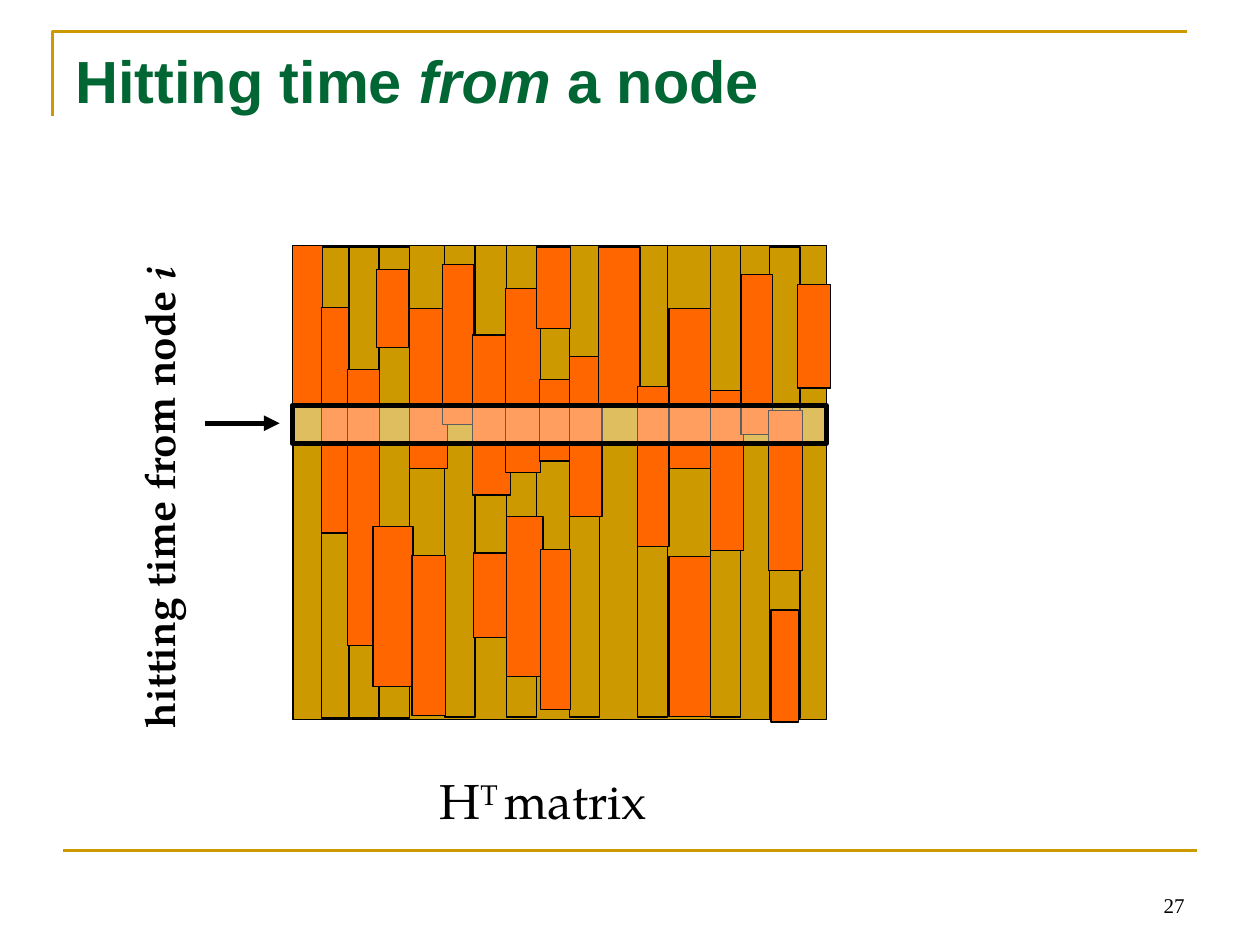
from pptx import Presentation
from pptx.dml.color import RGBColor
from pptx.enum.shapes import MSO_CONNECTOR as CONNECTOR, MSO_SHAPE as SHAPE
from pptx.enum.text import MSO_ANCHOR as ANCHOR, PP_ALIGN as ALIGN
from pptx.oxml.ns import qn
from pptx.util import Pt
from lxml.etree import SubElement

GOLD = RGBColor(0xCC, 0x99, 0x00)
ORANGE = RGBColor(0xFF, 0x66, 0x00)
GREEN = RGBColor(0x00, 0x66, 0x33)
BLACK = RGBColor(0x00, 0x00, 0x00)
WHITE = RGBColor(0xFF, 0xFF, 0xFF)
SERIF = "TeX Gyre Pagella"

MATRIX_LEFT, MATRIX_TOP, MATRIX_WIDTH, MATRIX_HEIGHT = 167, 140.4, 305.3, 270.7
COLUMN_WIDTH, COLUMN_HEIGHT = 17.3, 269.3
COLUMNS = [
    (167.8, 141.8), (183.6, 141.1), (199.4, 141.1), (216.7, 141.1), (254.2, 140.4),
    (289.4, 140.4), (325.4, 140.4), (364.3, 140.4), (406.1, 140.4), (439.9, 141.1),
]
BLOCK_HEIGHT = 91.4
BLOCKS = [
    (167, 140.4, 17.3), (183.6, 175.7, 15.8, 128.9), (198.7, 211, 18, 157.7),
    (215.3, 154.1, 18, 44.6), (213.1, 301, 23), (234, 176.4, 21.6),
    (235.4, 317.5, 19.4), (252.7, 151.2, 18), (270, 191.5, 21.6),
    (270.7, 316.1, 19.4, 48.2), (288.7, 164.9, 20.2, 105.1), (289.4, 295.2, 20.9),
    (306.7, 141.1, 19.4, 46.8), (308.2, 216.7, 18, 46.8), (308.9, 313.9, 17.3),
    (325.4, 203.8, 18.7), (342, 141.1, 23.8), (364.3, 221, 18),
    (382.3, 176.4, 23.8), (382.3, 318.2, 23.8), (406.1, 223.2, 18.7),
    (423.4, 157, 18), (439.2, 234.7, 19.4), (440.6, 348.5, 15.8, 64.1),
    (455.8, 162.7, 18.7, 59),
]


def add_bar(page, left, top, width, height, color, line_width=0.75):
    """Add a filled rectangle with a black outline."""
    bar = page.shapes.add_shape(SHAPE.RECTANGLE, Pt(left), Pt(top), Pt(width), Pt(height))
    bar.shadow.inherit = False
    bar.fill.solid()
    bar.fill.fore_color.rgb = color
    bar.line.color.rgb = BLACK
    bar.line.width = Pt(line_width)
    return bar


def set_opacity(shape, percent):
    """Make the solid fill of a shape partly transparent."""
    color = shape.fill._xPr.find(qn("a:solidFill"))[0]
    SubElement(color, qn("a:alpha")).set("val", str(percent * 1000))


def add_line(page, left, right, height, color, width, arrow=False):
    """Add a horizontal line, with an arrowhead at its right end if asked."""
    line = page.shapes.add_connector(
        CONNECTOR.STRAIGHT, Pt(left), Pt(height), Pt(right), Pt(height))
    line.line.color.rgb = color
    line.line.width = Pt(width)
    if arrow:
        SubElement(line.line._get_or_add_ln(), qn("a:tailEnd")).set("type", "triangle")
    SubElement(line._element.spPr, qn("a:effectLst"))


def add_corner(page):
    """Draw the open corner that frames the title."""
    builder = page.shapes.build_freeform(Pt(30.2), Pt(66.2))
    builder.add_line_segments([(Pt(30.2), Pt(18)), (Pt(678.2), Pt(18))], close=False)
    corner = builder.convert_to_shape()
    corner.shadow.inherit = False
    corner.fill.background()
    corner.line.color.rgb = GOLD
    corner.line.width = Pt(1.5)


def add_text(page, left, top, width, height, words, size, font, color=BLACK, bold=False):
    """Add a one-paragraph text box and return it with its paragraph and runs."""
    box = page.shapes.add_textbox(Pt(left), Pt(top), Pt(width), Pt(height))
    box.text_frame.word_wrap = True
    para = box.text_frame.paragraphs[0]
    para.font.size = Pt(size)
    para.font.name = font
    para.font.color.rgb = color
    para.font.bold = bold
    spans = []
    for word in words:
        span = para.add_run()
        span.text = word
        spans.append(span)
    return box, para, spans


def add_matrix(page):
    """Draw the matrix, its columns and blocks, and the highlighted row."""
    add_bar(page, MATRIX_LEFT, MATRIX_TOP, MATRIX_WIDTH, MATRIX_HEIGHT, GOLD)
    for left, top in COLUMNS:
        add_bar(page, left, top, COLUMN_WIDTH, COLUMN_HEIGHT, GOLD)
    for left, top, width, *height in BLOCKS:
        add_bar(page, left, top, width, height[0] if height else BLOCK_HEIGHT, ORANGE)
    row = add_bar(page, MATRIX_LEFT, 231.8, MATRIX_WIDTH, 21.6, WHITE, 3)
    set_opacity(row, 37)


def add_labels(page):
    """Add the row label, title, matrix name and page number."""
    box, _, spans = add_text(page, -41.8, 244.1, 293.8, 64.8,
                             ["hitting time from node ", "i"], 24, SERIF, bold=True)
    box.rotation = 270
    spans[1].font.italic = True

    _, _, spans = add_text(page, 36, 21.6, 648, 90,
                           ["Hitting time ", "from", " a node"], 34, "Arial", GREEN, True)
    spans[1].font.italic = True

    _, _, spans = add_text(page, 244.1, 437, 164.9, 41, ["H", "T ", "matrix"], 28, SERIF)
    spans[1]._r.get_or_add_rPr().set("baseline", "30000")

    box, para, _ = add_text(page, 516.2, 491.8, 167.8, 36, ["27"], 12, "Times New Roman")
    box.text_frame.vertical_anchor = ANCHOR.BOTTOM
    para.alignment = ALIGN.RIGHT


def main():
    """Build the slide and save it."""
    deck = Presentation()
    deck.slide_width, deck.slide_height = Pt(720), Pt(540)
    page = deck.slides.add_slide(deck.slide_layouts[6])
    add_corner(page)
    add_line(page, 36, 684, 486, GOLD, 1.5)
    add_matrix(page)
    add_line(page, 117.4, 159.8, 241.9, BLACK, 3, arrow=True)
    add_labels(page)
    deck.save("out.pptx")


if __name__ == "__main__":
    main()
